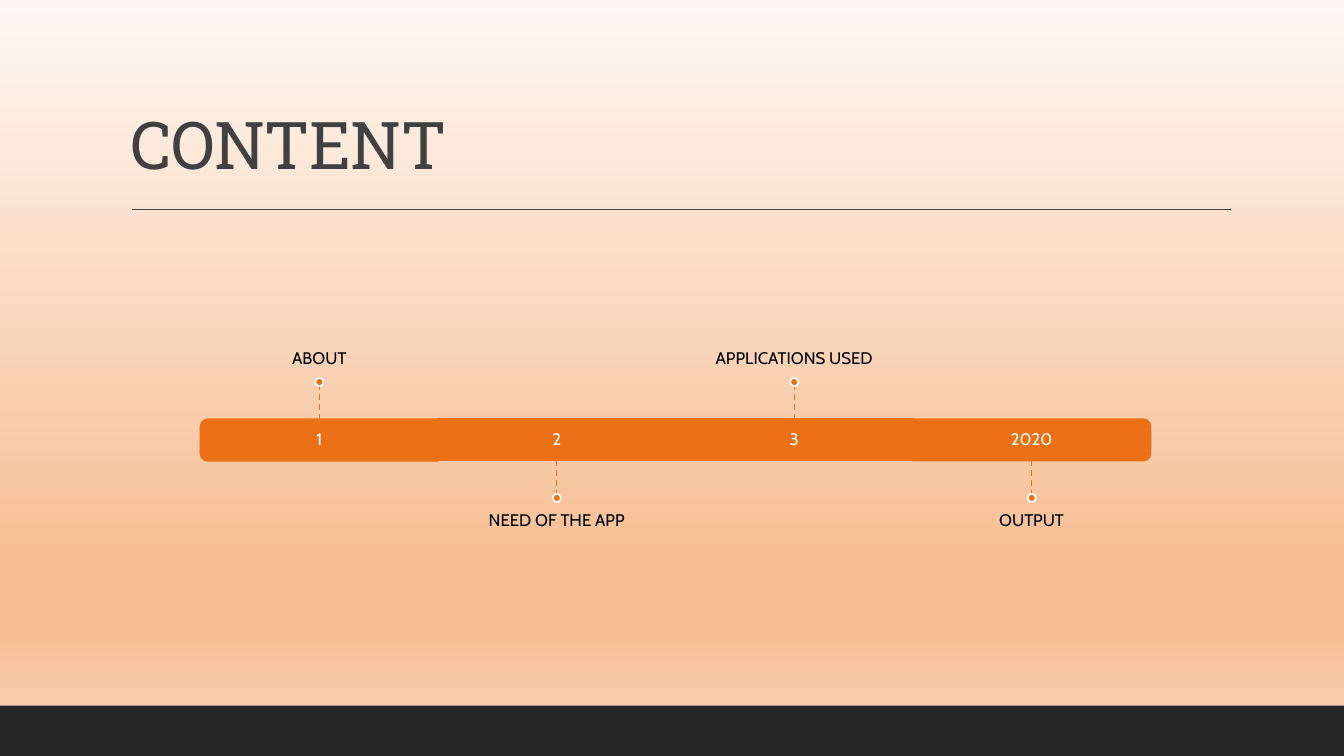
import pptx
import pptx.util
import pptx.dml.color
import pptx.enum.dml
import pptx.enum.shapes
import pptx.enum.text
import pptx.oxml.ns
import lxml.etree

TITLE = "CONTENT"
STEPS = [
    ("1", "ABOUT"),
    ("2", "NEED OF THE APP"),
    ("3", "APPLICATIONS USED"),
    ("2020", "OUTPUT"),
]
HUES = {"accent": "EC7016", "dark": "262626", "title": "404040", "light": "FFFFFF", "text": "000000"}
STOPS = [(0, "FEF8F3"), (74, "F6BF96"), (83, "F6BF96"), (100, "F9D4B9")]
LEFT, TOP, WIDE, HIGH = 1.99, 4.16, 2.355, 0.41
STEM, DOT, PAD = 0.33, 0.08, 0.1
LABEL = (3.93, 1.45)

Inches, Pt = pptx.util.Inches, pptx.util.Pt
KIND = pptx.enum.shapes.MSO_SHAPE
ANCHOR = pptx.enum.text.MSO_ANCHOR
ALIGN = pptx.enum.text.PP_ALIGN
DASH = pptx.enum.dml.MSO_LINE.DASH
qn = pptx.oxml.ns.qn


def tint(name):
    """Return the named colour."""
    return pptx.dml.color.RGBColor.from_string(HUES[name])


def put(item, values):
    """Set each attribute in values on item."""
    for name, value in values.items():
        setattr(item, name, value)


def shade(slide):
    """Give the slide its vertical gradient."""
    fill = slide.background.fill
    fill.gradient()
    fill.gradient_angle = 270
    stops = slide._element.find(".//" + qn("a:gsLst"))
    for stop in list(stops):
        stops.remove(stop)
    for place, hue in STOPS:
        stop = lxml.etree.SubElement(stops, qn("a:gs"), pos=str(place * 1000))
        lxml.etree.SubElement(stop, qn("a:srgbClr"), val=hue)


def block(slide, kind, box, fill, edge=None, turn=0):
    """Add a filled shape."""
    shape = slide.shapes.add_shape(kind, *map(Inches, box))
    shape.shadow.inherit = False
    shape.rotation = turn
    shape.fill.solid()
    shape.fill.fore_color.rgb = tint(fill)
    if edge:
        shape.line.color.rgb = tint(edge)
        shape.line.width = Pt(1.25)
    else:
        shape.line.fill.background()
    return shape


def rule(slide, start, end, hue, dash=None):
    """Add a straight line."""
    line = slide.shapes.add_connector(
        pptx.enum.shapes.MSO_CONNECTOR.STRAIGHT, *map(Inches, start + end))
    line.line.color.rgb = tint(hue)
    put(line.line, {"width": Pt(1), "dash_style": dash})
    lxml.etree.SubElement(line._element.spPr, qn("a:effectLst"))
    return line


def write(slide, text, box, hue, anchor, pads, size=12, face="Cabin", align=ALIGN.CENTER):
    """Add one line of text and return its run."""
    frame = slide.shapes.add_textbox(*map(Inches, box)).text_frame
    sides = ("margin_left", "margin_top", "margin_right", "margin_bottom")
    put(frame, dict(zip(sides, map(Inches, pads))))
    put(frame, {"word_wrap": True, "vertical_anchor": anchor})
    para = frame.paragraphs[0]
    put(para, {"alignment": align, "line_spacing": 0.9})
    run = para.add_run()
    run.text = text
    put(run.font, {"size": Pt(size), "name": face})
    run.font.color.rgb = tint(hue)
    return run


def step(slide, spot, number, name):
    """Add one part of the timeline with its stem, dot and label."""
    left = LEFT + spot * WIDE
    mid = left + WIDE / 2
    box = (left, TOP, WIDE, HIGH)
    turn = {0: 270, len(STEPS) - 1: 90}.get(spot)
    if turn:
        tall = (mid - HIGH / 2, TOP + HIGH / 2 - WIDE / 2, HIGH, WIDE)
        bar = block(slide, KIND.ROUND_2_SAME_RECTANGLE, tall, "accent", "accent", turn)
    else:
        bar = block(slide, KIND.RECTANGLE, box, "accent", "accent")
    write(slide, number, box, "light", ANCHOR.MIDDLE, (PAD,) * 4)

    wide, high = LABEL
    if spot % 2 == 0:
        side, base, tip = 0, TOP, TOP - STEM
        dot = tip - DOT
        top, anchor, pads = dot - high, ANCHOR.BOTTOM, (0, 0, 0, PAD)
    else:
        side, base, tip = 2, TOP + HIGH, TOP + HIGH + STEM
        dot = tip
        top, anchor, pads = dot + DOT, ANCHOR.TOP, (0, PAD, 0, 0)
    write(slide, name, (mid - wide / 2, top, wide, high), "text", anchor, pads)
    stem = rule(slide, (mid, base), (mid, tip), "accent", DASH.DASH)
    if not turn:
        stem.begin_connect(bar, side)
    block(slide, KIND.OVAL, (mid - DOT / 2, dot, DOT, DOT), "accent", "light")


def main():
    """Build the slide and save it."""
    deck = pptx.Presentation()
    put(deck, {"slide_width": Inches(13.33), "slide_height": Inches(7.5)})
    slide = deck.slides.add_slide(deck.slide_layouts[6])
    shade(slide)
    block(slide, KIND.RECTANGLE, (0, 7, 13.33, 0.5), "dark")
    rule(slide, (1.31, 2.08), (12.21, 2.08), "title")
    run = write(slide, TITLE, (1.2, 0.28, 11, 1.59), "title", ANCHOR.BOTTOM,
                (0.1, 0.05, 0.1, 0.05), 47, "Roboto Slab", ALIGN.LEFT)
    run.font._element.set("spc", "-50")
    for spot, (number, name) in enumerate(STEPS):
        step(slide, spot, number, name)
    deck.save("out.pptx")


if __name__ == "__main__":
    main()
